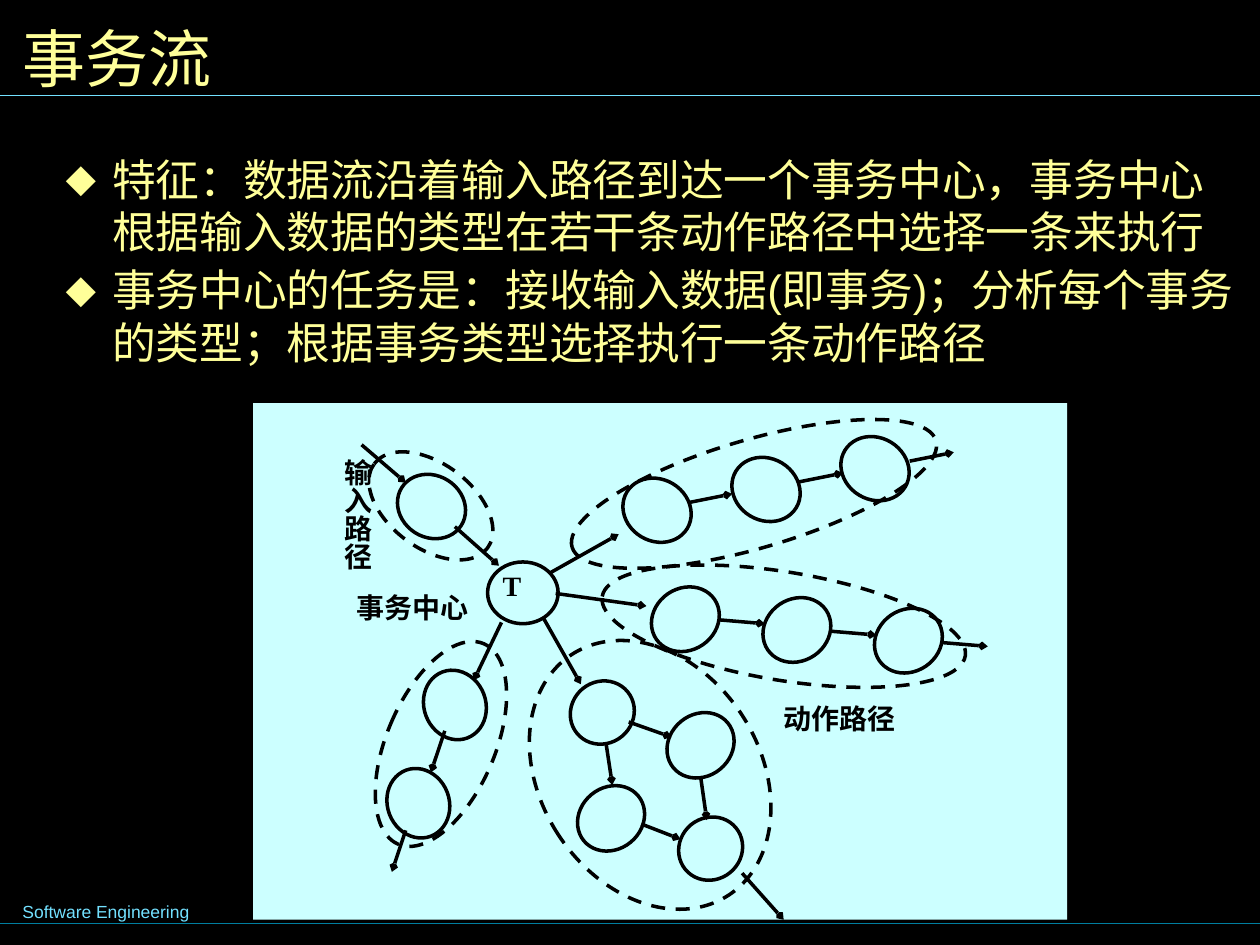
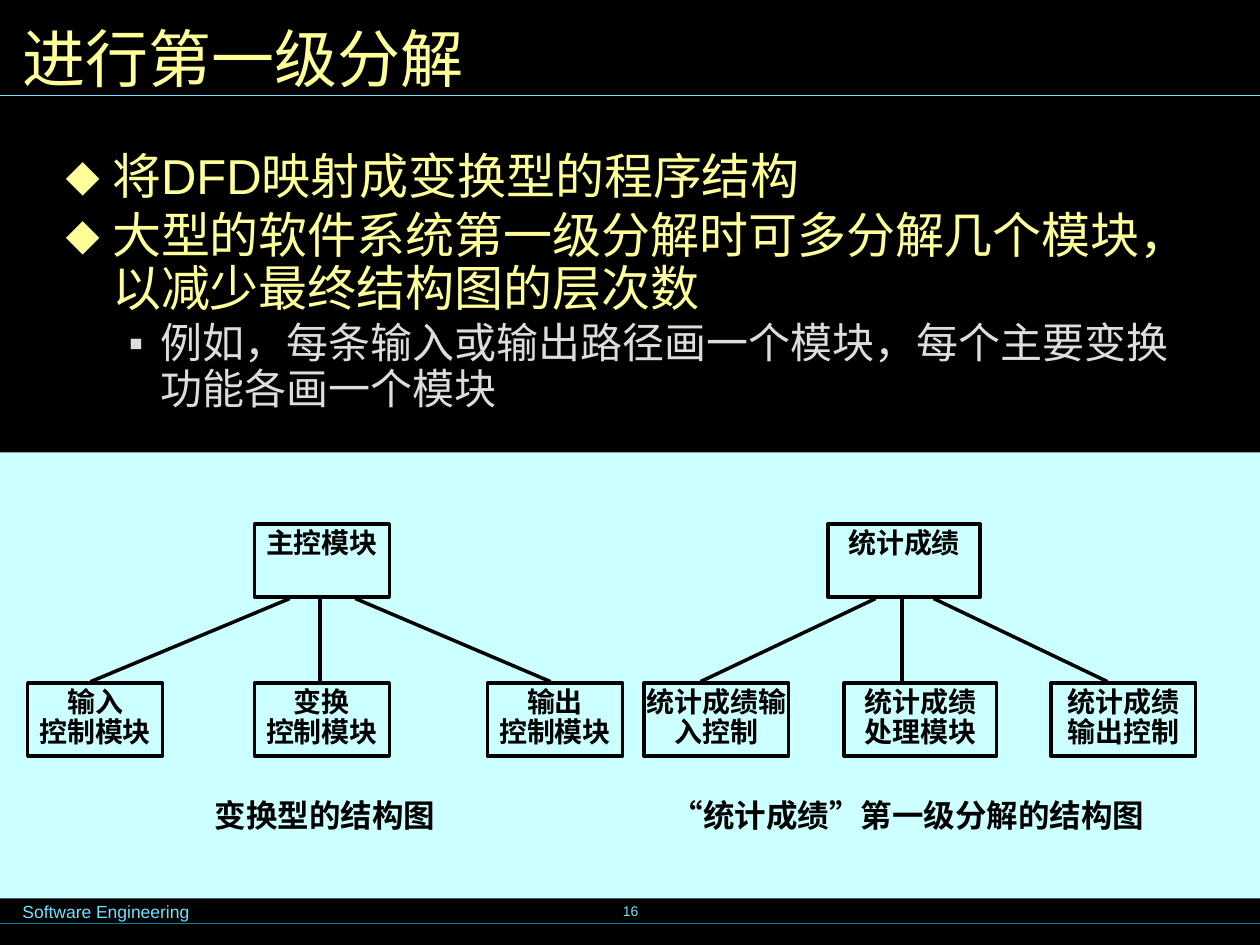
from lxml import etree
from pptx import Presentation
from pptx.dml.color import RGBColor
from pptx.enum.dml import MSO_LINE
from pptx.enum.shapes import MSO_CONNECTOR, MSO_SHAPE
from pptx.enum.text import MSO_ANCHOR, MSO_AUTO_SIZE, PP_ALIGN
from pptx.oxml.ns import qn
from pptx.util import Cm, Pt

LEFT, CENTER, JUSTIFY = PP_ALIGN.LEFT, PP_ALIGN.CENTER, PP_ALIGN.JUSTIFY
TOP, MIDDLE = MSO_ANCHOR.TOP, MSO_ANCHOR.MIDDLE
RECTANGLE, OVAL = MSO_SHAPE.RECTANGLE, MSO_SHAPE.OVAL
STRAIGHT, DASH = MSO_CONNECTOR.STRAIGHT, MSO_LINE.DASH
NO_AUTOFIT = MSO_AUTO_SIZE.NONE

COLORS = {
    "background": "000000",
    "panel": "CCFFFF",
    "ink": "000000",
    "heading": "FFFF99",
    "detail": "DDDDDD",
    "accent": "73E1FF",
    "footer line": "007E9F",
}
LABEL = {"font": "Times New Roman", "size": 16, "bold": True, "align": JUSTIFY}
BOX_LABEL = {**LABEL, "align": CENTER, "line_spacing": 0.9}
CAPTION = {**BOX_LABEL, "size": 18}


def units(*inches):
    """Turn layout units (inches) into lengths."""
    return [Cm(value * 2.54) for value in inches]


def color(name):
    return RGBColor.from_string(COLORS[name])


def set_bullet(paragraph, character, color_name, indent, hanging):
    properties = paragraph._p.get_or_add_pPr()
    margin, first_line = units(indent, -hanging)
    properties.set("marL", str(margin))
    properties.set("indent", str(first_line))
    bullet_color = etree.SubElement(properties, qn("a:buClr"))
    etree.SubElement(bullet_color, qn("a:srgbClr")).set("val", COLORS[color_name])
    etree.SubElement(properties, qn("a:buChar")).set("char", character)


def write_text(frame, text, font="Arial", size=16, color_name="ink", bold=False,
               align=LEFT, line_spacing=1.0, space_before=0, level=0, bullet=None):
    """Add one paragraph per line of text, filling the empty first one."""
    for line in text.split("\n"):
        is_first = not frame.text
        paragraph = frame.paragraphs[0] if is_first else frame.add_paragraph()
        if bullet:
            set_bullet(paragraph, color_name=color_name, **bullet)
        paragraph.level = level
        paragraph.alignment = align
        paragraph.line_spacing = line_spacing
        paragraph.space_before = Pt(0 if is_first else space_before)
        run = paragraph.add_run()
        run.text = line
        run.font.name, run.font.size, run.font.bold = font, Pt(size), bold
        run.font.color.rgb = color(color_name)


def set_frame(frame, horizontal=0.1, vertical=0.05, anchor=TOP):
    frame.word_wrap = True
    frame.auto_size = NO_AUTOFIT
    frame.vertical_anchor = anchor
    frame.margin_left, frame.margin_top = units(horizontal, vertical)
    frame.margin_right, frame.margin_bottom = units(horizontal, vertical)


class Deck:
    """Holds the presentation style and the current slide."""

    def __init__(self):
        self.presentation = Presentation()
        self.presentation.slide_width, self.presentation.slide_height = units(10, 7.5)
        self.slide = None

    def add_slide(self, title, number=None):
        self.slide = self.presentation.slides.add_slide(self.presentation.slide_layouts[1])
        fill = self.slide.background.fill
        fill.solid()
        fill.fore_color.rgb = color("background")
        # Shared rules and footer
        self.line((0, 7.33), (10, 7.33), "footer line", 0.75)
        self.line((0, 0.76), (10, 0.76), "accent", 0.75)
        self.text("Software Engineering", (0.08, 7.1, 2.95, 0.27), size=10, color_name="accent")
        if number:
            self.text(number, (3.42, 6.98, 3.17, 0.5), anchor=MIDDLE, size=8,
                      color_name="accent", align=CENTER)
        frame = self.placeholder(self.slide.shapes.title, (0.08, 0.08, 9.84, 0.75))
        set_frame(frame, anchor=MIDDLE)
        write_text(frame, title, font="Arial Narrow", size=36, color_name="heading")

    def placeholder(self, shape, position):
        shape.left, shape.top, shape.width, shape.height = units(*position)
        return shape.text_frame

    def body(self, position, size, line_spacing, space_before, points, details=""):
        frame = self.placeholder(self.slide.placeholders[1], position)
        set_frame(frame, 0.12, 0.06)
        write_text(frame, points, size=size, color_name="heading",
                   line_spacing=line_spacing, space_before=space_before,
                   bullet={"character": "⬥", "indent": 0.37, "hanging": 0.37})
        if details:
            write_text(frame, details, size=24, color_name="detail", level=1,
                       line_spacing=line_spacing, space_before=3,
                       bullet={"character": "▪", "indent": 0.75, "hanging": 0.25})

    def text(self, text, position, anchor=TOP, vertical=False, **text_format):
        frame = self.slide.shapes.add_textbox(*units(*position)).text_frame
        set_frame(frame, anchor=anchor)
        if vertical:
            set_frame(frame, 0.05, 0.1)
            frame._txBody.bodyPr.set("vert", "eaVert")
        write_text(frame, text, **text_format)

    def shape(self, kind, position, fill=None, rotation=0, dashed=False):
        shape = self.slide.shapes.add_shape(kind, *units(*position))
        shape.shadow.inherit = False
        shape.rotation = rotation
        if fill:
            shape.fill.solid()
            shape.fill.fore_color.rgb = color(fill)
            shape.line.fill.background()
        else:
            shape.fill.background()
            shape.line.color.rgb = color("ink")
            shape.line.width = Pt(2)
            if dashed:
                shape.line.dash_style = DASH
        return shape

    def panel(self, position):
        self.shape(RECTANGLE, position, fill="panel")

    def module(self, text, position):
        frame = self.shape(RECTANGLE, position).text_frame
        set_frame(frame, 0.02, 0.04)
        write_text(frame, text, **BOX_LABEL)

    def line(self, start, end, color_name="ink", width=2):
        connector = self.slide.shapes.add_connector(STRAIGHT, *units(*start, *end))
        connector.line.color.rgb = color(color_name)
        connector.line.width = Pt(width)
        etree.SubElement(connector._element.spPr, qn("a:effectLst"))
        return connector

    def arrow(self, start, end):
        outline = self.line(start, end).line._get_or_add_ln()
        head = etree.SubElement(outline, qn("a:tailEnd"))
        for name, value in (("type", "arrow"), ("w", "sm"), ("len", "sm")):
            head.set(name, value)

    def chain(self, count, circle, circle_step, rotation, arrow, arrow_step, reach):
        """Draw evenly spaced circles, each followed by an arrow."""
        left, top, width, height = circle
        for index in range(count):
            self.shape(OVAL, (left + index * circle_step[0], top + index * circle_step[1],
                              width, height), rotation=rotation)
            x = arrow[0] + index * arrow_step[0]
            y = arrow[1] + index * arrow_step[1]
            self.arrow((x, y), (x + reach[0], y + reach[1]))

    def module_tree(self, root, root_left, root_width, children):
        self.module(root, (root_left, 4.16, root_width, 0.58))
        for text, left, width, line_start, line_end in children:
            self.line((line_start, 4.75), (line_end, 5.41))
            self.module(text, (left, 5.42, width, 0.58))


def build_transaction_flow(deck):
    deck.add_slide("事务流")
    deck.body((0.4, 1.15, 9.6, 1.89), 25, 1.0, 3.1,
              "特征：数据流沿着输入路径到达一个事务中心，事务中心根据输入数据的类型"
              "在若干条动作路径中选择一条来执行\n"
              "事务中心的任务是：接收输入数据(即事务)；分析每个事务的类型；"
              "根据事务类型选择执行一条动作路径")
    deck.panel((2.01, 3.2, 6.46, 4.1))
    deck.text("动作路径", (6.12, 5.52, 1.56, 0.53), **LABEL)
    deck.text("事务中心", (2.73, 4.64, 1.76, 0.53), **LABEL)
    deck.text("输入路径", (2.32, 3.54, 0.7, 1.53), vertical=True, **LABEL)

    # Dashed outlines around the paths
    for position, rotation in (
        ((4.48, 3.49, 3.01, 0.86), 343.7),
        ((3.07, 5.04, 0.86, 1.73), 23.1),
        ((4.29, 5.01, 1.74, 2.28), 326.9),
        ((4.76, 4.54, 2.92, 0.86), 9.3),
        ((2.86, 3.68, 1.12, 0.67), 36.6),
    ):
        deck.shape(OVAL, position, rotation=rotation, dashed=True)

    # Transaction centre and input circle
    deck.shape(OVAL, (3.87, 4.46, 0.56, 0.49))
    deck.text("T", (3.89, 4.46, 0.63, 0.45), **LABEL)
    deck.shape(OVAL, (3.18, 3.74, 0.49, 0.56), rotation=302.5)

    # Straight paths: upper, middle, lower left
    deck.chain(3, (4.97, 3.77, 0.49, 0.56), (0.865, -0.165), 301.3,
               (5.46, 3.99), (0.88, -0.165), (0.35, -0.07))
    deck.chain(3, (5.16, 4.67, 0.56, 0.49), (0.885, 0.085), 325.6,
               (5.71, 4.92), (0.885, 0.09), (0.36, 0.03))
    deck.chain(2, (3.33, 5.35, 0.56, 0.49), (-0.29, 0.78), 69.4,
               (3.53, 5.8), (-0.31, 0.79), (-0.11, 0.33))

    # Branching path
    for left, top, width in ((4.52, 5.41, 0.52), (5.28, 5.67, 0.56),
                             (4.57, 6.25, 0.56), (5.38, 6.49, 0.52)):
        deck.shape(OVAL, (left, top, width, 0.49), rotation=320.5)
    for start, end in (
        ((4.81, 5.9), (4.86, 6.23)),
        ((4.99, 5.73), (5.33, 5.85)),
        ((5.09, 6.54), (5.4, 6.66)),
        ((5.56, 6.16), (5.61, 6.51)),
        ((5.89, 6.93), (6.22, 7.3)),
        # Into and out of the transaction centre
        ((2.87, 3.53), (3.22, 3.83)),
        ((3.61, 4.18), (3.96, 4.49)),
        ((4.36, 4.55), (4.91, 4.24)),
        ((4.41, 4.71), (5.13, 4.81)),
        ((4.31, 4.9), (4.61, 5.43)),
        ((3.98, 4.94), (3.76, 5.4)),
    ):
        deck.arrow(start, end)


def build_first_level(deck):
    deck.add_slide("进行第一级分解", number="16")
    deck.body((0.4, 1.15, 9.29, 2.58), 28, 0.9, 3.5,
              "将DFD映射成变换型的程序结构\n"
              "大型的软件系统第一级分解时可多分解几个模块，以减少最终结构图的层次数",
              "例如，每条输入或输出路径画一个模块，每个主要变换功能各画一个模块")
    deck.panel((0, 3.59, 10, 3.54))

    # General structure
    deck.module_tree("主控模块", 2.02, 1.07, (
        ("输入\n控制模块", 0.22, 1.07, 2.3, 0.72),
        ("变换\n控制模块", 2.02, 1.07, 2.54, 2.54),
        ("输出\n控制模块", 3.87, 1.07, 2.82, 4.37),
    ))
    deck.text("变换型的结构图", (0.08, 6.3, 5, 0.52), **CAPTION)

    # Grade statistics example
    deck.module_tree("统计成绩", 6.57, 1.21, (
        ("统计成绩输入控制", 5.11, 1.15, 6.95, 5.56),
        ("统计成绩\n处理模块", 6.7, 1.21, 7.16, 7.16),
        ("统计成绩\n输出控制", 8.34, 1.15, 7.41, 8.79),
    ))
    deck.text("“统计成绩”第一级分解的结构图", (4.99, 6.3, 4.43, 0.52), **CAPTION)


def main():
    deck = Deck()
    build_transaction_flow(deck)
    build_first_level(deck)
    deck.presentation.save("out.pptx")


if __name__ == "__main__":
    main()
